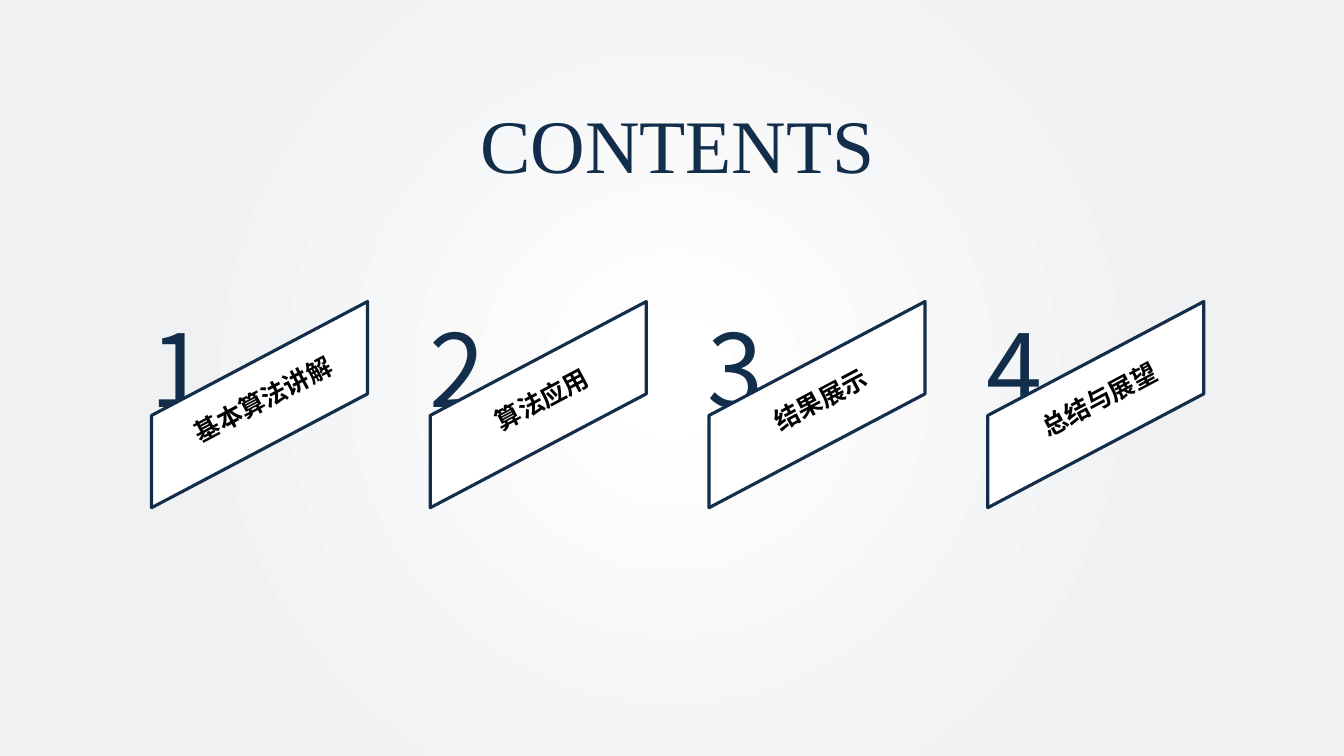
from pptx import Presentation
from pptx.dml.color import RGBColor
from pptx.enum.shapes import MSO_SHAPE
from pptx.enum.text import MSO_AUTO_SIZE, PP_ALIGN
from pptx.oxml import parse_xml
from pptx.oxml.ns import nsdecls
from pptx.util import Pt

SLANT = MSO_SHAPE.PARALLELOGRAM
GROW = MSO_AUTO_SIZE.SHAPE_TO_FIT_TEXT
CENTER = PP_ALIGN.CENTER
NAVY = RGBColor(0x13, 0x2E, 0x4A)
BLACK = RGBColor(0, 0, 0)
WHITE = RGBColor(0xFF, 0xFF, 0xFF)
GRAY = RGBColor(0xF0, 0xF1, 0xF3)

TOPICS = ["基本算法讲解", "算法应用", "结果展示", "总结与展望"]
LEFT = 82.8
PITCH = 199.1

deck = Presentation()
deck.slide_width = Pt(960)
deck.slide_height = Pt(540)
slide = deck.slides.add_slide(deck.slide_layouts[6])


def add_text(text, *, at, size, font, color=NAVY, bold=False, turn=0):
    box = slide.shapes.add_textbox(*[Pt(v) for v in at])
    box.rotation = turn
    frame = box.text_frame
    frame.word_wrap = True
    frame.auto_size = GROW
    para = frame.paragraphs[0]
    para.alignment = CENTER
    run = para.add_run()
    run.text = text
    run.font.name = font
    run.font.size = Pt(size)
    run.font.bold = bold
    run.font.color.rgb = color


fill = slide.background.fill
fill.gradient()
for stop, color, place in zip(fill.gradient_stops, (WHITE, GRAY), (0, 0.67)):
    stop.color.rgb = color
    stop.position = place
linear = slide.element.xpath(".//a:lin")[0]
radial = parse_xml(
    f'<a:path {nsdecls("a")} path="circle">'
    '<a:fillToRect l="50000" t="50000" r="50000" b="50000"/></a:path>'
)
linear.getparent().replace(linear, radial)

for i, topic in enumerate(TOPICS):
    x = LEFT + i * PITCH
    add_text(str(i + 1), at=(x + 2.9, 215.3, 83.5, 94.3), size=72,
             font="Noto Sans CJK SC")
    band = slide.shapes.add_shape(SLANT, Pt(x), Pt(259.9), Pt(205.2), Pt(58.3))
    band.rotation = 332.2
    band.adjustments[0] = 0.528
    band.shadow.inherit = False
    band.fill.solid()
    band.fill.fore_color.rgb = WHITE
    band.line.color.rgb = NAVY
    band.line.width = Pt(2.25)
    add_text(topic, at=(x + 28.4, 270.7, 153.4, 29.1), size=18, font="Arial",
             color=BLACK, bold=True, turn=332)

add_text("CONTENTS", at=(275.8, 66.2, 416.2, 72.7), size=54,
         font="Times New Roman")

deck.save("out.pptx")
